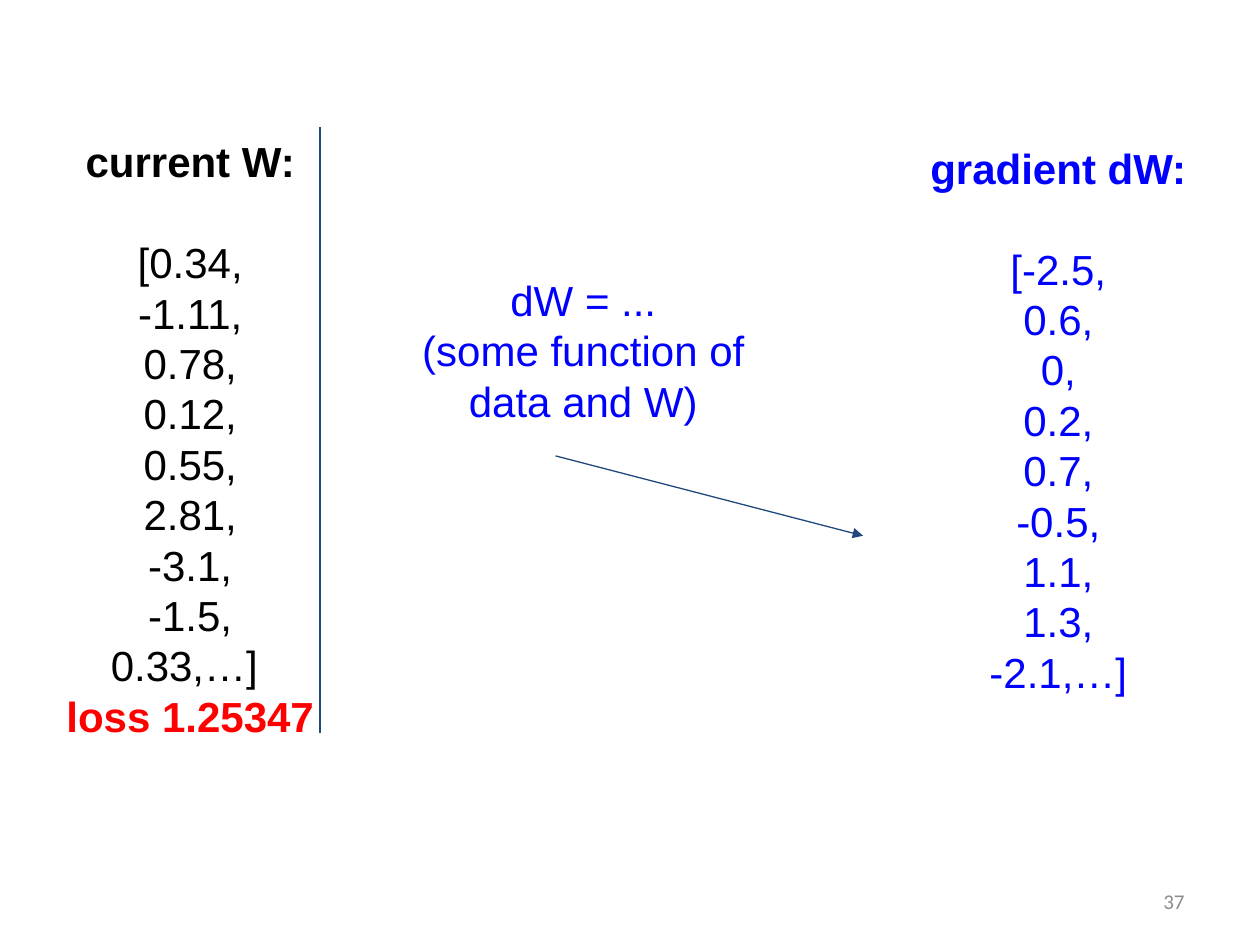
from dataclasses import dataclass

from lxml import etree
from pptx import Presentation
from pptx.dml.color import RGBColor
from pptx.enum.shapes import MSO_CONNECTOR
from pptx.enum.text import MSO_ANCHOR, PP_ALIGN
from pptx.oxml.ns import qn
from pptx.util import Cm, Pt

STRAIGHT = MSO_CONNECTOR.STRAIGHT
TOP, MIDDLE = MSO_ANCHOR.TOP, MSO_ANCHOR.MIDDLE
CENTER, RIGHT = PP_ALIGN.CENTER, PP_ALIGN.RIGHT

BLACK, BLUE, RED = "000000", "0000FF", "FF0000"
NAVY, GRAY = "1F497D", "8C8C8C"
LINE_HEIGHT = 28.8
WEIGHTS = ["[0.34,", "-1.11,", "0.78,", "0.12,", "0.55,", "2.81,", "-3.1,", "-1.5,", "0.33,…] "]
GRADIENT = ["[-2.5,", "0.6,", "0,", "0.2,", "0.7,", "-0.5,", "1.1,", "1.3,", "-2.1,…]"]


@dataclass
class Line:
    text: str
    color: str
    bold: bool = False
    space_before: float = 0


@dataclass
class TextBlock:
    left: float
    top: float
    width: float
    height: float
    lines: list[Line]
    align: PP_ALIGN = CENTER
    anchor: MSO_ANCHOR = TOP
    font: str = "Arial"
    size: float = 24
    line_height: float = LINE_HEIGHT


@dataclass
class Rule:
    start: tuple[float, float]
    end: tuple[float, float]
    arrow: bool = False


def rgb(color: str) -> RGBColor:
    return RGBColor.from_string(color)


def vector_lines(heading: str, values: list[str], color: str) -> list[Line]:
    """A bold heading, a gap of one line, then one value per line."""
    first, *rest = values
    return [
        Line(heading, color, bold=True),
        Line(first, color, space_before=LINE_HEIGHT),
        *(Line(value, color) for value in rest),
    ]


def draw_text(slide, block: TextBlock) -> None:
    box = slide.shapes.add_textbox(
        Cm(block.left), Cm(block.top), Cm(block.width), Cm(block.height))
    frame = box.text_frame
    frame_format = {"word_wrap": True, "vertical_anchor": block.anchor}
    frame_format |= {f"margin_{side}": Cm(0.25) for side in ("left", "top", "right", "bottom")}
    for name, value in frame_format.items():
        setattr(frame, name, value)

    for index, line in enumerate(block.lines):
        paragraph = frame.add_paragraph() if index else frame.paragraphs[0]
        paragraph.alignment = block.align
        paragraph.line_spacing = Pt(block.line_height)
        if line.space_before:
            paragraph.space_before = Pt(line.space_before)
        run = paragraph.add_run()
        run.text = line.text
        font_format = {"name": block.font, "size": Pt(block.size), "bold": line.bold}
        for name, value in font_format.items():
            setattr(run.font, name, value)
        run.font.color.rgb = rgb(line.color)


def draw_rule(slide, rule: Rule) -> None:
    connector = slide.shapes.add_connector(
        STRAIGHT, *(Cm(length) for length in rule.start + rule.end))
    connector.line.color.rgb = rgb(NAVY)
    connector.line.width = Pt(0.75)
    properties = connector._element.spPr
    if rule.arrow:
        etree.SubElement(properties.find(qn("a:ln")), qn("a:tailEnd"), type="triangle")
    etree.SubElement(properties, qn("a:effectLst"))


def main() -> None:
    presentation = Presentation()
    presentation.slide_width, presentation.slide_height = Cm(25.4), Cm(19.05)
    slide = presentation.slides.add_slide(presentation.slide_layouts[6])

    # Slide number
    draw_text(slide, TextBlock(18.21, 17.65, 5.92, 1.02, [Line("37", GRAY)],
                               RIGHT, MIDDLE, "Calibri", 12, 14.4))

    # Gradient and current weights
    draw_text(slide, TextBlock(18.06, 2.62, 6.55, 1.09,
                               vector_lines("gradient dW:", GRADIENT, BLUE)))
    weights = vector_lines("current W:", WEIGHTS, BLACK)
    weights.append(Line("loss 1.25347", RED, bold=True))
    draw_text(slide, TextBlock(0.56, 2.49, 6.55, 1.09, weights))

    # Divider beside the weights
    draw_rule(slide, Rule((6.45, 2.57), (6.45, 14.78)))

    # Formula and the arrow to the gradient
    formula = [Line("dW = ...", BLUE), Line("(some function of data and W)", BLUE)]
    draw_text(slide, TextBlock(7.85, 5.28, 7.82, 8.59, formula))
    draw_rule(slide, Rule((11.2, 9.19), (17.4, 10.8), arrow=True))

    presentation.save("out.pptx")


if __name__ == "__main__":
    main()
